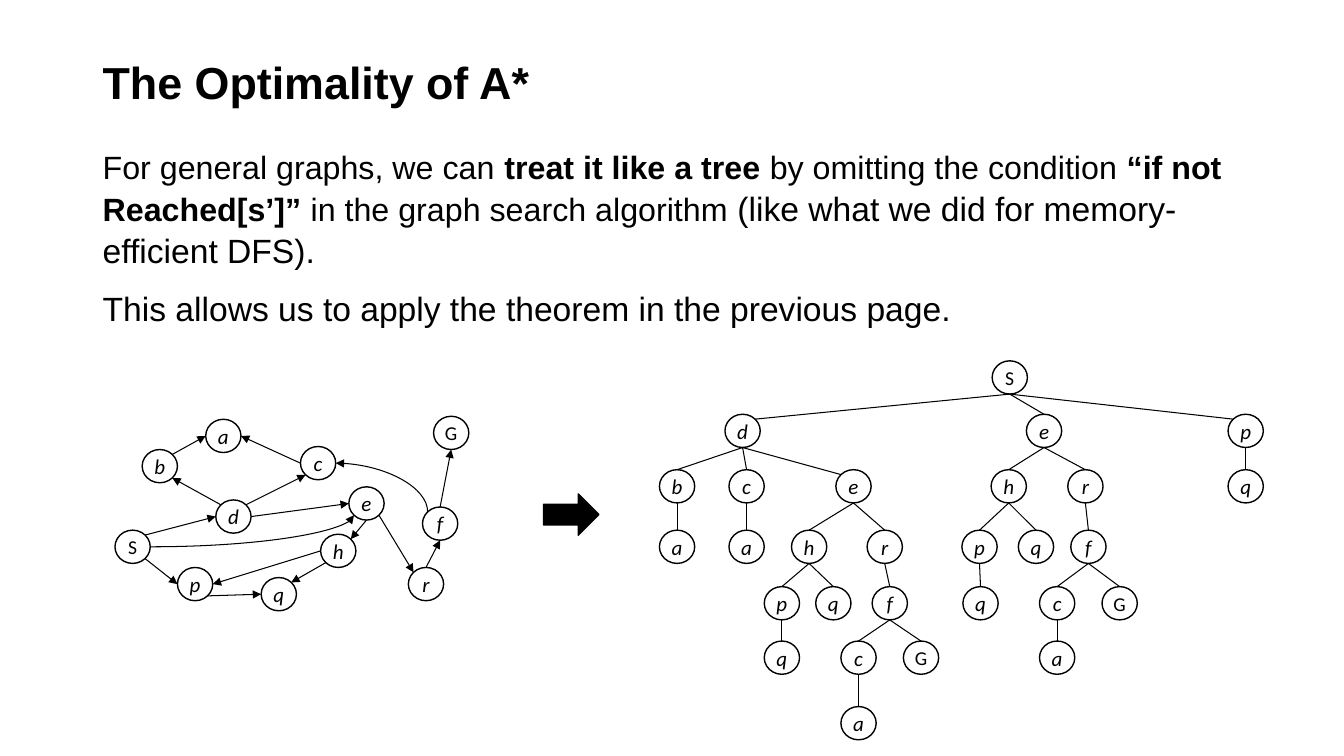
from dataclasses import dataclass
from math import sqrt

from lxml import etree
from pptx import Presentation
from pptx.dml.color import RGBColor
from pptx.enum.shapes import MSO_CONNECTOR, MSO_SHAPE
from pptx.enum.text import MSO_ANCHOR, PP_ALIGN
from pptx.oxml.ns import qn
from pptx.util import Inches, Pt

STRAIGHT, CURVE = MSO_CONNECTOR.STRAIGHT, MSO_CONNECTOR.CURVE
CIRCLE, RIGHT_ARROW = MSO_SHAPE.FLOWCHART_CONNECTOR, MSO_SHAPE.RIGHT_ARROW
MIDDLE, TOP = MSO_ANCHOR.MIDDLE, MSO_ANCHOR.TOP
CENTER = PP_ALIGN.CENTER

BLACK = "000000"
NODE_WIDTH, NODE_HEIGHT = 0.35, 0.33
DIAGONAL = 1 / sqrt(2)
SITES = {
    "top": (0, -1),
    "top left": (-DIAGONAL, -DIAGONAL),
    "left": (-1, 0),
    "bottom left": (-DIAGONAL, DIAGONAL),
    "bottom": (0, 1),
    "bottom right": (DIAGONAL, DIAGONAL),
    "right": (1, 0),
    "top right": (DIAGONAL, -DIAGONAL),
}


@dataclass(frozen=True)
class Node:
    label: str
    left: float
    top: float

    def site(self, name: str) -> tuple[float, float]:
        across, down = SITES[name]
        return (self.left + NODE_WIDTH * (1 + across) / 2,
                self.top + NODE_HEIGHT * (1 + down) / 2)


@dataclass(frozen=True)
class Edge:
    start: str
    start_site: str
    end: str
    end_site: str
    arrow: str = "tailEnd"
    kind: int = STRAIGHT


@dataclass(frozen=True)
class Span:
    text: str
    size: float
    bold: bool = False


GRAPH_NODES = {
    node.label: node for node in (
        Node("S", 1.14, 5.26), Node("G", 4.3, 4.13), Node("d", 2.14, 4.96),
        Node("b", 1.41, 4.46), Node("p", 1.76, 5.63), Node("q", 2.59, 5.73),
        Node("c", 2.98, 4.43), Node("e", 3.46, 4.83), Node("h", 3.18, 5.3),
        Node("a", 2.04, 4.16), Node("f", 4.19, 5.03), Node("r", 4.05, 5.63),
    )
}
GRAPH_EDGES = [
    Edge("S", "bottom right", "p", "left"),
    Edge("p", "bottom right", "q", "left"),
    Edge("h", "bottom left", "q", "top right"),
    Edge("h", "left", "p", "right"),
    Edge("e", "bottom", "h", "top right"),
    Edge("e", "bottom right", "r", "top left"),
    Edge("r", "top", "f", "bottom"),
    Edge("f", "top", "G", "bottom"),
    Edge("S", "top right", "d", "left"),
    Edge("d", "top left", "b", "bottom right"),
    Edge("b", "top right", "a", "left"),
    Edge("c", "left", "a", "right"),
    Edge("d", "top right", "c", "bottom left"),
    Edge("d", "right", "e", "left"),
    Edge("c", "right", "f", "top left", "headEnd", CURVE),
    Edge("S", "right", "e", "bottom left", "tailEnd", CURVE),
]

TREE_ROWS = [3.58, 4.11, 4.66, 5.26, 5.82, 6.36, 7.01]
TREE_LEFTS = {
    "S": 9.84,
    "Sd": 7.19, "Se": 10.18, "Sp": 12.18,
    "Sdb": 6.54, "Sdc": 7.23, "Sde": 8.29, "Seh": 9.83, "Ser": 10.59, "Spq": 12.18,
    "Sdba": 6.54, "Sdca": 7.23, "Sdeh": 7.85, "Sder": 8.6,
    "Sehp": 9.54, "Sehq": 10.1, "Serf": 10.62,
    "Sdehp": 7.58, "Sdehq": 8.09, "Sderf": 8.65,
    "Sehpq": 9.55, "Serfc": 10.31, "SerfG": 10.93,
    "Sdehpq": 7.58, "Sderfc": 8.34, "SderfG": 8.96, "Serfca": 10.31,
    "Sderfca": 8.34,
}
TREE_NODES = {
    route: Node(route[-1], left, TREE_ROWS[len(route) - 1])
    for route, left in TREE_LEFTS.items()
}
SIDE_ENTRIES = {"Sd": "top right", "Sp": "top left", "Sde": "top left"}
TREE_EDGES = [
    Edge(route[:-1], "bottom", route, SIDE_ENTRIES.get(route, "top"), arrow="")
    for route in TREE_LEFTS if len(route) > 1
]

TITLE = [[Span("The Optimality of A*", 32, True)]]
BODY = [
    [
        Span("For general graphs, we can ", 23),
        Span("treat it like a tree ", 23, True),
        Span("by omitting the condition ", 23),
        Span("“if not Reached[s’]” ", 23, True),
        Span("in the graph search algorithm ", 23),
        Span("(like what we did for memory-efficient DFS).", 24),
    ],
    [Span("This allows us to apply the theorem in the previous page.", 24)],
]


def color(value: str) -> RGBColor:
    return RGBColor.from_string(value)


def set_font(font, **values) -> None:
    for name, value in values.items():
        setattr(font, name, value)
    font.color.rgb = color(BLACK)


def add_text(page, bounds: tuple, paragraphs: list, anchor, spacing: float) -> None:
    box = page.shapes.add_textbox(*map(Inches, bounds))
    frame = box.text_frame
    frame.word_wrap = True
    frame.vertical_anchor = anchor
    for index, spans in enumerate(paragraphs):
        para = frame.add_paragraph() if index else frame.paragraphs[0]
        para.line_spacing = spacing
        if index:
            para.space_before = Pt(12)
        for span in spans:
            run = para.add_run()
            run.text = span.text
            set_font(run.font, name="Arial", size=Pt(span.size), bold=span.bold)


def add_node(group, node: Node) -> None:
    shape = group.shapes.add_shape(
        CIRCLE, *map(Inches, (node.left, node.top, NODE_WIDTH, NODE_HEIGHT)))
    shape.shadow.inherit = False
    shape.fill.background()
    shape.line.color.rgb = color(BLACK)
    shape.line.width = Pt(1)
    frame = shape.text_frame
    margins = dict.fromkeys(
        ("margin_left", "margin_right", "margin_top", "margin_bottom"), 0)
    for name, value in {**margins, "word_wrap": False, "vertical_anchor": MIDDLE}.items():
        setattr(frame, name, value)
    para = frame.paragraphs[0]
    para.alignment = CENTER
    run = para.add_run()
    run.text = node.label
    is_state = node.label.islower()
    set_font(run.font, name="Calibri", size=Pt(15 if is_state else 14), italic=is_state)


def add_edge(group, edge: Edge, nodes: dict[str, Node]) -> None:
    start = nodes[edge.start].site(edge.start_site)
    end = nodes[edge.end].site(edge.end_site)
    connector = group.shapes.add_connector(edge.kind, *map(Inches, start + end))
    connector.line.color.rgb = color(BLACK)
    connector.line.width = Pt(0.75)
    properties = connector.element.spPr
    if edge.kind == CURVE:
        properties.find(qn("a:prstGeom")).set("prst", "curvedConnector2")
    if edge.arrow:
        line = properties.find(qn("a:ln"))
        etree.SubElement(line, qn(f"a:{edge.arrow}"), type="triangle")
    etree.SubElement(properties, qn("a:effectLst"))


def add_diagram(page, nodes: dict[str, Node], edges: list[Edge]) -> None:
    group = page.shapes.add_group_shape()
    for edge in edges:
        add_edge(group, edge, nodes)
    for node in nodes.values():
        add_node(group, node)


def main() -> None:
    deck = Presentation()
    deck.slide_width, deck.slide_height = Inches(13.33), Inches(7.5)
    page = deck.slides.add_slide(deck.slide_layouts[6])
    add_text(page, (0.92, 0.4, 11.5, 0.89), TITLE, MIDDLE, 0.9)
    add_diagram(page, GRAPH_NODES, GRAPH_EDGES)
    add_diagram(page, TREE_NODES, TREE_EDGES)
    arrow = page.shapes.add_shape(RIGHT_ARROW, *map(Inches, (5.39, 4.9, 0.55, 0.41)))
    arrow.shadow.inherit = False
    arrow.fill.solid()
    arrow.fill.fore_color.rgb = arrow.line.color.rgb = color(BLACK)
    arrow.line.width = Pt(1)
    add_text(page, (0.92, 1.4, 11.73, 2.17), BODY, TOP, 1.04)
    deck.save("out.pptx")


if __name__ == "__main__":
    main()
